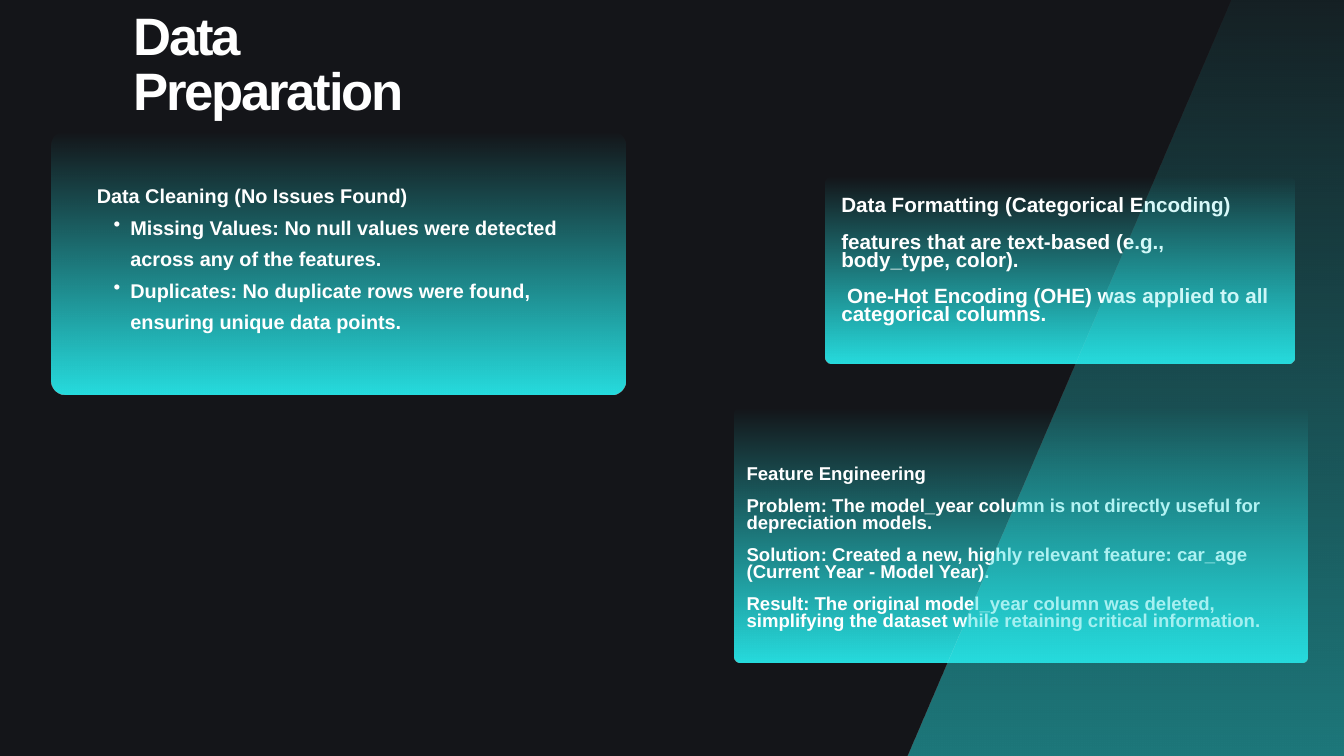
from lxml import etree
from pptx import Presentation
from pptx.dml.color import RGBColor
from pptx.enum.shapes import MSO_SHAPE
from pptx.oxml.ns import qn
from pptx.util import Inches, Pt

ROUNDED = MSO_SHAPE.ROUNDED_RECTANGLE
FONT = "Arial"
DARK, TEAL, WHITE = "141519", "27DDDF", "FFFFFF"

presentation = Presentation()
presentation.slide_width = Inches(20)
presentation.slide_height = Inches(11.25)
# The grid has 20 columns and 11.25 rows of equal size
COLUMN = presentation.slide_width / 20
ROW = presentation.slide_height / 11.25


def color(hex_string):
    return RGBColor.from_string(hex_string)


def fade_down(shape, top_alpha, bottom_alpha):
    """Fill with teal running from one opacity (percent) to another, top to bottom."""
    shape.shadow.inherit = False
    shape.line.fill.background()
    shape.fill.gradient()
    shape.fill.gradient_angle = 270
    for stop, position, alpha in zip(shape.fill.gradient_stops, (0, 1), (top_alpha, bottom_alpha)):
        stop.position = position
        stop.color.rgb = color(TEAL)
        rgb = shape._element.spPr.findall(".//" + qn("a:srgbClr"))[position]
        etree.SubElement(rgb, qn("a:alpha")).set("val", str(alpha * 1000))


slide = presentation.slides.add_slide(presentation.slide_layouts[6])
slide.background.fill.solid()
slide.background.fill.fore_color.rgb = color(DARK)

# Cards: left, top, width, height in grid units, then corner radius
cards = [
    (0.76, 1.96, 8.55, 3.91, 0.21),
    (12.29, 2.62, 6.97, 2.79, 0.1),
    (10.93, 6.07, 8.52, 3.79, 0.09),
]
for left, top, width, height, radius in cards:
    card = slide.shapes.add_shape(
        ROUNDED, int(left * COLUMN), int(top * ROW), int(width * COLUMN), int(height * ROW))
    card.adjustments[0] = radius / height
    fade_down(card, 0, 100)

# Texts: box in grid units, font size, line spacing, space between paragraphs,
# letter spacing, whether the paragraphs after the first are bulleted, paragraphs
texts = [
    ((12.52, 2.96, 6.36, 2.15), 22.1, 19.4, 19.4, 0, False, [
        "Data Formatting (Categorical Encoding)",
        "features that are text-based (e.g., body_type, color).",
        " One-Hot Encoding (OHE) was applied to all categorical columns.",
    ]),
    ((11.11, 6.96, 8.15, 2.67), 19.9, 17.5, 17.5, 0, False, [
        "Feature Engineering",
        "Problem: The model_year column is not directly useful for depreciation models.",
        "Solution: Created a new, highly relevant feature: car_age (Current Year - Model Year).",
        "Result: The original model_year column was deleted, simplifying the dataset "
        "while retaining critical information.",
    ]),
    ((1.99, 0.17, 5.46, 1.79), 56.4, 58.7, 0, -2.4, False, ["Data Preparation"]),
    ((1.44, 2.62, 7.51, 2.83), 21.3, 33.8, 0, 0, True, [
        "Data Cleaning (No Issues Found)",
        "Missing Values: No null values were detected across any of the features.",
        "Duplicates: No duplicate rows were found, ensuring unique data points.",
    ]),
]
for (left, top, width, height), size, leading, gap, tracking, bulleted, lines in texts:
    box = slide.shapes.add_textbox(
        int(left * COLUMN), int(top * ROW), int(width * COLUMN), int(height * ROW))
    frame = box.text_frame
    frame.word_wrap = True
    frame.margin_left = frame.margin_top = frame.margin_right = frame.margin_bottom = 0
    for index, line in enumerate(lines):
        paragraph = frame.paragraphs[0] if index == 0 else frame.add_paragraph()
        run = paragraph.add_run()
        run.text = line
        if tracking:
            run._r.get_or_add_rPr().set("spc", str(round(tracking * 100)))
        if bulleted and index:
            paragraph.level = 1
            properties = paragraph._p.get_or_add_pPr()
            properties.set("marL", str(Inches(0.5)))
            properties.set("indent", str(-Inches(0.25)))
            etree.SubElement(properties, qn("a:buChar")).set("char", "•")
        paragraph.line_spacing = Pt(leading)
        if gap and index:
            paragraph.space_before = Pt(gap)
        paragraph.font.name = FONT
        paragraph.font.size = Pt(size)
        paragraph.font.bold = True
        paragraph.font.color.rgb = color(WHITE)

# Slanted veil over the right edge of the slide
corners = [(18.32, 0), (20, 0), (20, 11.25), (13.51, 11.25)]
points = [(int(x * COLUMN), int(y * ROW)) for x, y in corners]
builder = slide.shapes.build_freeform(*points[0])
builder.add_line_segments(points[1:], close=True)
fade_down(builder.convert_to_shape(), 6, 50)

presentation.save("out.pptx")
